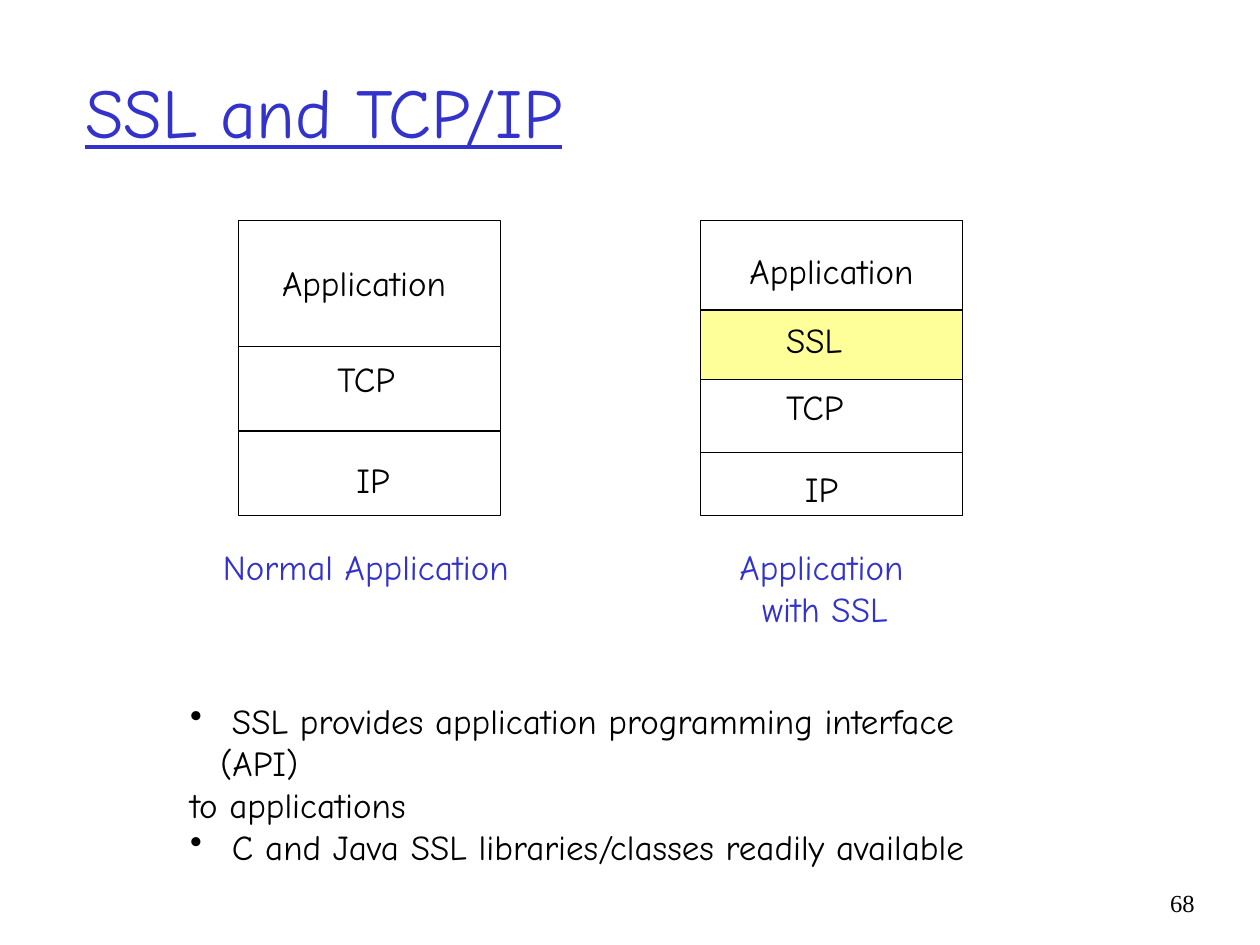
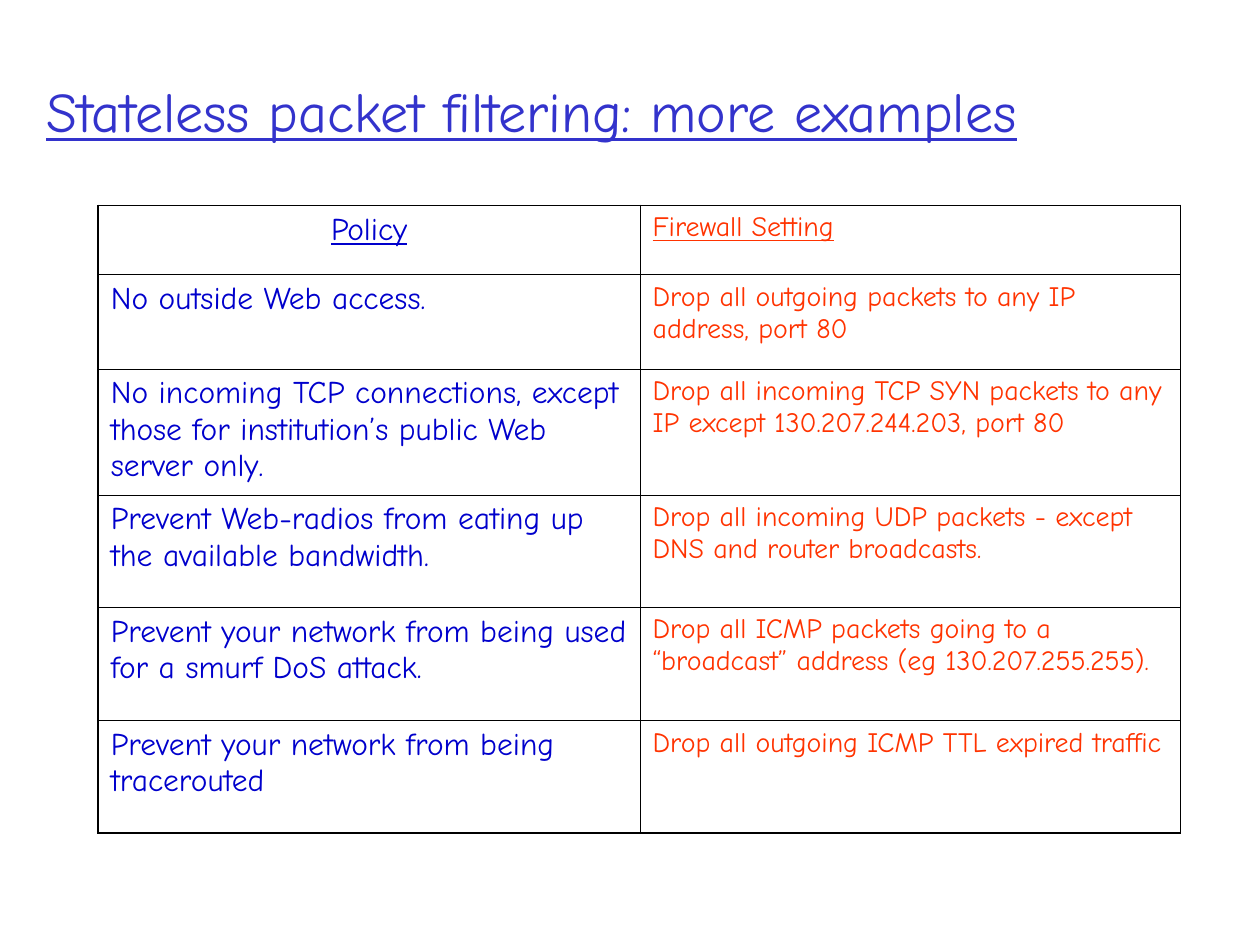
from lxml import etree
from pptx import Presentation
from pptx.dml.color import RGBColor
from pptx.enum.shapes import MSO_SHAPE as SHAPE
from pptx.enum.text import MSO_ANCHOR as ANCHOR, MSO_AUTO_SIZE as AUTO, PP_ALIGN as ALIGN
from pptx.oxml.ns import qn
from pptx.util import Inches, Pt

HAND, SERIF = "Comic Neue", "Times New Roman"
BLACK, TITLE_BLUE, SSL_YELLOW = "000000", "3333CC", "FFFF99"
POLICY_BLUE, SETTING_RED = "0000CC", "FF3300"
OUTER, INNER = 1.08, 0.45
BULLET_INDENT = 0.24
LABEL_WIDTHS = {"Application": 1.54, "SSL": 0.68, "TCP": 0.71, "IP": 0.5}


def color(value):
    return RGBColor.from_string(value)


def add_bullet(paragraph):
    props = paragraph._p.get_or_add_pPr()
    props.set("marL", str(Inches(BULLET_INDENT)))
    props.set("indent", str(-Inches(BULLET_INDENT)))
    etree.SubElement(props, qn("a:buChar")).set("char", "•")


def write(frame, lines, size=20, fill=BLACK, font=HAND, underline=False,
          align=ALIGN.LEFT, bulleted=(), indents=None):
    """Write one paragraph per line; bulleted and indents go by line number."""
    for number, line in enumerate(lines):
        paragraph = frame.paragraphs[0] if number == 0 else frame.add_paragraph()
        if number in bulleted:
            add_bullet(paragraph)
        elif indents and number in indents:
            paragraph._p.get_or_add_pPr().set("marL", str(Inches(indents[number])))
        paragraph.alignment = align
        run = paragraph.add_run()
        run.text = line
        run.font.size, run.font.name = Pt(size), font
        run.font.underline = underline
        run.font.color.rgb = color(fill)


def add_text(slide, box, lines, wrap=True, anchor=ANCHOR.TOP, **style):
    frame = slide.shapes.add_textbox(*map(Inches, box)).text_frame
    frame.word_wrap = wrap
    frame.vertical_anchor = anchor
    if not wrap:
        frame.auto_size = AUTO.SHAPE_TO_FIT_TEXT
    write(frame, lines, **style)


def add_title(slide, left, width, text, size):
    add_text(slide, (left, 0.25, width, 1.25), [text], anchor=ANCHOR.MIDDLE,
             size=size, fill=TITLE_BLUE, underline=True)


def add_page_number(slide, number):
    add_text(slide, (9.08, 7, 0.5, 0.5), [number], size=14, font=SERIF, align=ALIGN.RIGHT)


def add_stack(slide, left, top, layers, caption, caption_box, **caption_style):
    """Stack protocol layers: (name, height, label dx, label dy, fill)."""
    layer_top = top
    for name, height, dx, dy, fill in layers:
        layer = slide.shapes.add_shape(
            SHAPE.RECTANGLE, *map(Inches, (left, layer_top, 2.08, height)))
        layer.shadow.inherit = False
        layer.line.color.rgb, layer.line.width = color(BLACK), Pt(0.75)
        if fill:
            layer.fill.solid()
            layer.fill.fore_color.rgb = color(fill)
        else:
            layer.fill.background()
        add_text(slide, (left + dx, layer_top + dy, LABEL_WIDTHS[name], 0.44), [name], wrap=False)
        layer_top += height
    dx, width, height = caption_box
    add_text(slide, (left + dx, top + 2.53, width, height), caption, wrap=False,
             fill=TITLE_BLUE, **caption_style)


def set_borders(cell, **widths):
    props = cell._tc.get_or_add_tcPr()
    for side in ("L", "R", "T", "B"):
        line = etree.SubElement(props, qn("a:ln" + side), w=str(Pt(widths[side])))
        solid = etree.SubElement(line, qn("a:solidFill"))
        etree.SubElement(solid, qn("a:srgbClr"), val=BLACK)


def add_policy_table(slide, box, rows, column_widths, row_heights):
    table = slide.shapes.add_table(len(rows), 2, *map(Inches, box)).table
    table.first_row = table.horz_banding = False
    for column, width in zip(table.columns, column_widths):
        column.width = Inches(width)
    for row, height in zip(table.rows, row_heights):
        row.height = Inches(height)
    last = len(rows) - 1
    for r, row in enumerate(rows):
        for c, (text, fill, size) in enumerate(zip(row, (POLICY_BLUE, SETTING_RED), (18, 16))):
            cell = table.cell(r, c)
            set_borders(cell, L=INNER if c else OUTER, R=OUTER if c else INNER,
                        T=INNER if r else OUTER, B=OUTER if r == last else INNER)
            cell.fill.background()
            write(cell.text_frame, [text], size=size, fill=fill, underline=r == 0,
                  align=ALIGN.CENTER if r == c == 0 else ALIGN.LEFT)


def build_ssl_slide(slide):
    add_page_number(slide, "68")
    add_title(slide, 0.58, 8.5, "SSL and TCP/IP", 40)
    add_stack(slide, 1.89, 1.75, [
        ("Application", 1, 0.25, 0.28, None),
        ("TCP", 0.67, 0.69, 0.04, None),
        ("IP", 0.67, 0.84, 0.17, None),
    ], ["Normal Application"], (-0.22, 2.5, 0.44))
    add_stack(slide, 5.56, 1.75, [
        ("Application", 0.71, 0.29, 0.18, None),
        ("SSL", 0.55, 0.58, 0.02, SSL_YELLOW),
        ("TCP", 0.58, 0.58, 0, None),
        ("IP", 0.5, 0.73, 0.07, None),
    ], ["Application", "with SSL"], (0.21, 1.59, 0.77), indents={1: 0.18})
    add_text(slide, (1.41, 5.5, 6.85, 1.1), [
        " SSL provides application programming interface (API)",
        "to applications",
        " C and Java SSL libraries/classes readily available",
    ], bulleted=(0, 2))


def build_filtering_slide(slide):
    add_policy_table(slide, (0.78, 1.63, 8.59, 4.98), [
        ("Policy", "Firewall Setting"),
        ("No outside Web access.", "Drop all outgoing packets to any IP address, port 80"),
        ("No incoming TCP connections, except those for institution’s public Web server only.",
         "Drop all incoming TCP SYN packets to any IP except 130.207.244.203, port 80"),
        ("Prevent Web-radios from eating up the available bandwidth.",
         "Drop all incoming UDP packets - except DNS and router broadcasts."),
        ("Prevent your network from being used for a smurf DoS attack.",
         "Drop all ICMP packets going to a “broadcast” address (eg 130.207.255.255)."),
        ("Prevent your network from being tracerouted",
         "Drop all outgoing ICMP TTL expired traffic"),
    ], (4.3, 4.29), (0.55, 0.75, 1, 0.89, 0.9, 0.89))
    add_title(slide, 0.27, 9.16, "Stateless packet filtering: more examples", 32)


def main():
    deck = Presentation()
    deck.slide_width, deck.slide_height = Inches(10), Inches(7.5)
    blank = deck.slide_layouts[6]
    for build in (build_ssl_slide, build_filtering_slide):
        build(deck.slides.add_slide(blank))
    deck.save("out.pptx")


if __name__ == "__main__":
    main()
